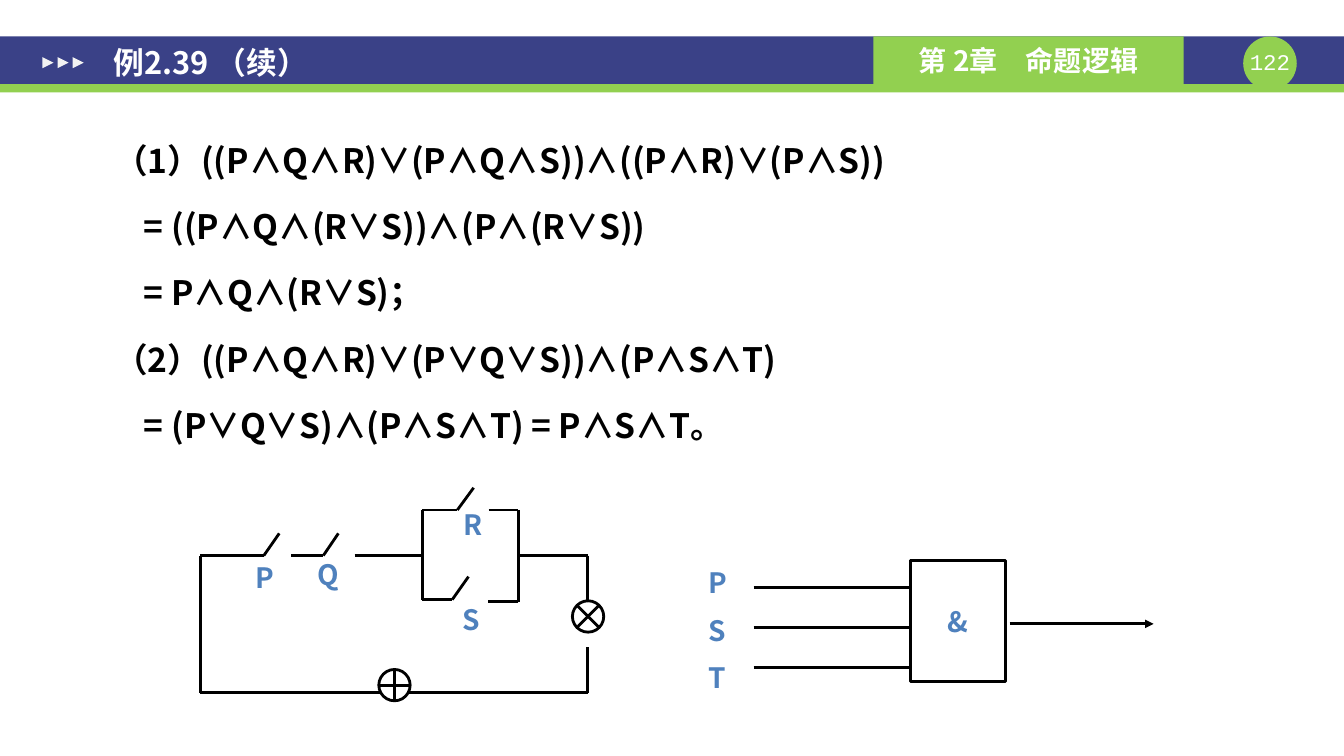
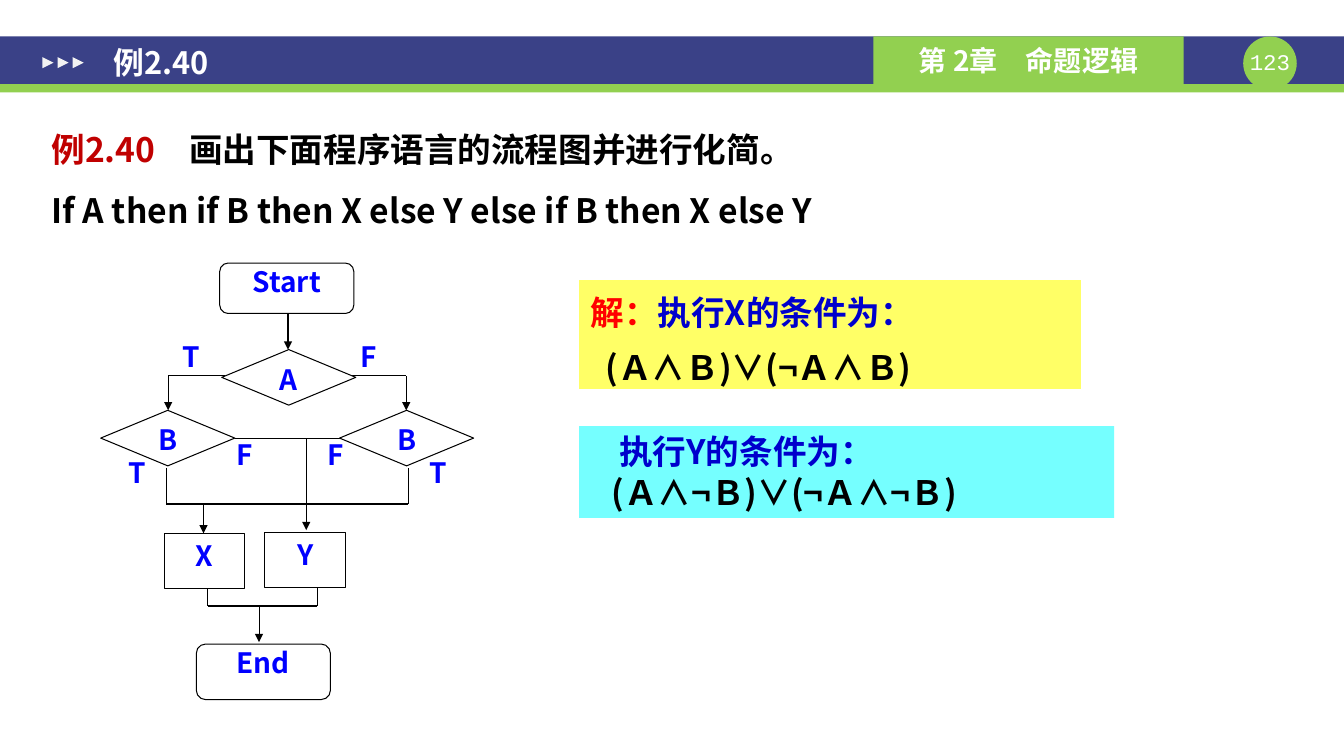
from lxml import etree
from pptx import Presentation
from pptx.dml.color import RGBColor
from pptx.enum.shapes import MSO_CONNECTOR, MSO_SHAPE
from pptx.enum.text import MSO_ANCHOR, MSO_AUTO_SIZE, PP_ALIGN
from pptx.oxml.ns import qn
from pptx.util import Cm, Pt

RECT, OVAL, TRIANGLE = MSO_SHAPE.RECTANGLE, MSO_SHAPE.OVAL, MSO_SHAPE.ISOSCELES_TRIANGLE
LAMP, SOURCE = MSO_SHAPE.FLOWCHART_SUMMING_JUNCTION, MSO_SHAPE.FLOWCHART_OR
TERMINAL, DECISION = MSO_SHAPE.FLOWCHART_ALTERNATE_PROCESS, MSO_SHAPE.FLOWCHART_DECISION
PROCESS = MSO_SHAPE.FLOWCHART_PROCESS
STRAIGHT = MSO_CONNECTOR.STRAIGHT
LEFT, CENTER = PP_ALIGN.LEFT, PP_ALIGN.CENTER
TOP, MIDDLE = MSO_ANCHOR.TOP, MSO_ANCHOR.MIDDLE

NAVY = RGBColor(0x3A, 0x41, 0x87)
GREEN = RGBColor(0x92, 0xD0, 0x50)
PALE = RGBColor(0xF2, 0xF2, 0xF2)
WHITE = RGBColor(0xFF, 0xFF, 0xFF)
BLACK = RGBColor(0x00, 0x00, 0x00)
STEEL = RGBColor(0x4F, 0x81, 0xBD)
BLUE = RGBColor(0x00, 0x00, 0xFF)
DEEP_BLUE = RGBColor(0x00, 0x00, 0xCC)
DARK_RED = RGBColor(0xC0, 0x00, 0x00)
RED = RGBColor(0xFF, 0x00, 0x00)
YELLOW = RGBColor(0xFF, 0xFF, 0x66)
CYAN = RGBColor(0x66, 0xFF, 0xFF)

FONT, NUMBER_FONT = "Noto Sans CJK SC", "Courier New"
WIDTH, HEIGHT = 33.88, 19.05
BAND_TOP, BAND_HEIGHT = 0.92, 1.2
BODY_INSETS = (0.33, 0.18)


def write(tf, paras, size=20, align=CENTER, anchor=TOP, insets=(0.25, 0.13),
          spacing=None, before=0, font=FONT, bold=True):
    """Fill a frame; each paragraph is (indent in cm, [(text, colour), ...])."""
    tf.word_wrap = True
    tf.auto_size = MSO_AUTO_SIZE.NONE
    tf.vertical_anchor = anchor
    tf.margin_left = tf.margin_right = Cm(insets[0])
    tf.margin_top = tf.margin_bottom = Cm(insets[1])
    for i, (indent, runs) in enumerate(paras):
        p = tf.add_paragraph() if i else tf.paragraphs[0]
        p.alignment = align
        if indent:
            pPr = p._p.get_or_add_pPr()
            pPr.set("marL", str(Cm(indent)))
            pPr.set("indent", "0")
        if spacing:
            p.line_spacing = spacing
        if i and before:
            p.space_before = Pt(before)
        for text, color in runs:
            r = p.add_run()
            r.text = text
            r.font.name, r.font.size, r.font.bold = font, Pt(size), bold
            r.font.color.rgb = color
            ea = etree.SubElement(r.font._element, qn("a:ea"))
            ea.set("typeface", font)


def add_text(slide, x, y, w, h, paras, **style):
    box = slide.shapes.add_textbox(Cm(x), Cm(y), Cm(w), Cm(h))
    write(box.text_frame, paras, **style)


def add_label(slide, x, y, w, text, color, align=CENTER):
    add_text(slide, x, y, w, 1.4, [(0, [(text, color)])], align=align)


def add_box(slide, kind, x, y, w, h, fill=WHITE, line=None):
    """Add a preset shape; line is an outline width in points."""
    sp = slide.shapes.add_shape(kind, Cm(x), Cm(y), Cm(w), Cm(h))
    sp.shadow.inherit = False
    sp.fill.solid()
    sp.fill.fore_color.rgb = fill
    if line:
        sp.line.color.rgb = BLACK
        sp.line.width = Pt(line)
    else:
        sp.line.fill.background()
    return sp


def add_wire(slide, points, width, arrow=False):
    """Join the points with straight lines, the last one with an arrowhead if asked."""
    for start, end in zip(points, points[1:]):
        line = slide.shapes.add_connector(STRAIGHT, *(Cm(v) for v in start + end))
        line.line.color.rgb = BLACK
        line.line.width = Pt(width)
        etree.SubElement(line._element.spPr, qn("a:effectLst"))
    if arrow:
        etree.SubElement(line.line._get_or_add_ln(), qn("a:tailEnd")).set("type", "triangle")


def start_slide(prs, title, number):
    """Add a title-only slide with the header band, chapter and number."""
    slide = prs.slides.add_slide(prs.slide_layouts[5])
    add_box(slide, RECT, 0, BAND_TOP, WIDTH, BAND_HEIGHT, NAVY)
    add_box(slide, RECT, 0, BAND_TOP + BAND_HEIGHT, WIDTH, 0.21, GREEN)
    add_box(slide, OVAL, 31.34, BAND_TOP, 1.35, 1.35, GREEN)
    add_text(slide, 31.34, 1.22, 1.35, 0.69, [(0, [(str(number), WHITE)])],
             size=16, insets=(0, 0), font=NUMBER_FONT, bold=False)
    chapter = add_box(slide, RECT, 22.02, BAND_TOP, 7.82, BAND_HEIGHT, GREEN)
    write(chapter.text_frame, [(0, [("第 2章　命题逻辑", WHITE)])], anchor=MIDDLE)
    for i in range(3):
        add_box(slide, TRIANGLE, 1.07 + 0.38 * i, 1.44, 0.28, 0.28, PALE).rotation = 90

    sp = slide.shapes.title
    sp.left, sp.top, sp.width, sp.height = Cm(2.54), Cm(0.28), Cm(22.4), Cm(2.57)
    write(sp.text_frame, [(0, [(title, WHITE)])], size=22, align=LEFT,
          anchor=MIDDLE, insets=BODY_INSETS)
    sp.element.getparent().append(sp.element)  # in front of the band
    return slide


def draw_circuit(slide):
    for text, x, y in (("S", 11.4, 15.04), ("R", 11.43, 12.65),
                       ("Q", 7.75, 13.92), ("P", 6.2, 14)):
        add_label(slide, x, y, 0.79, text, STEEL, LEFT)
    wires = (
        [(7.04, 13.44), (6.65, 14), (5.05, 14), (5.05, 17.45), (9.6, 17.45)],
        [(7.34, 14), (8.15, 14), (8.53, 13.44)],
        [(8.94, 14), (10.65, 14)],
        [(11.94, 12.29), (11.53, 12.85), (10.65, 12.85), (10.65, 15.11),
         (11.4, 15.11), (11.81, 14.53)],
        [(12.32, 12.85), (13.07, 12.85), (13.07, 15.16), (12.29, 15.16)],
        [(13.07, 14), (14.82, 14), (14.82, 15.14)],
        [(14.82, 16.31), (14.82, 17.45), (10.13, 17.45)],
    )
    for points in wires:
        add_wire(slide, points, 2)
    add_box(slide, LAMP, 14.43, 15.14, 0.79, 0.79, line=2)
    add_box(slide, SOURCE, 9.55, 16.87, 0.79, 0.79, line=2)


def draw_gate(slide):
    gate = add_box(slide, RECT, 22.96, 14.12, 2.39, 3.05, line=2)
    write(gate.text_frame, [(0, [("&", STEEL)])], anchor=MIDDLE)
    for i, text in enumerate("PST"):
        add_label(slide, 17.6, 14.12 + 1.2 * i, 1.6, text, STEEL, LEFT)
        add_wire(slide, [(19, 14.81 + i), (22.96, 14.81 + i)], 2)
    add_wire(slide, [(25.45, 15.72), (29.08, 15.72)], 2, arrow=True)


def draw_flowchart(slide):
    for text, x, y in (("T", 4.14, 8.43), ("F", 8.63, 8.43), ("F", 5.49, 10.9),
                       ("T", 2.79, 11.35), ("F", 7.8, 10.9), ("T", 10.37, 11.35)):
        add_label(slide, x, y, 1.35, text, BLUE)
    wires = (
        ([(7.26, 7.9), (7.26, 8.81)], True),
        ([(5.66, 9.47), (4.24, 9.47), (4.24, 10.34)], True),
        ([(8.86, 9.47), (10.24, 9.47), (10.24, 10.34)], True),
        ([(5.92, 11.05), (8.64, 11.05)], False),
        ([(7.72, 11.05), (7.72, 13.36)], True),
        ([(4.19, 11.79), (4.19, 12.7), (10.29, 12.7), (10.29, 11.79)], False),
        ([(5.13, 12.7), (5.13, 13.44)], True),
        ([(5.24, 14.8), (5.24, 15.27), (8, 15.27), (8, 14.8)], False),
        ([(6.53, 15.27), (6.53, 16.18)], True),
    )
    for points, arrow in wires:
        add_wire(slide, points, 0.75, arrow)
    nodes = (
        (TERMINAL, "Start", 5.54, 6.63, 3.38, 1.27, 0.8),
        (DECISION, "A", 5.59, 8.81, 3.38, 1.4, 0.8),
        (DECISION, "B", 2.54, 10.34, 3.38, 1.4, 0.8),
        (DECISION, "B", 8.56, 10.34, 3.38, 1.4, 0.8),
        (PROCESS, "X", 4.14, 13.44, 2.03, 1.4, None),
        (PROCESS, "Y", 6.68, 13.41, 2.03, 1.4, None),
        (TERMINAL, "End", 4.95, 16.23, 3.38, 1.4, 0.8),
    )
    for kind, text, x, y, w, h, spacing in nodes:
        node = add_box(slide, kind, x, y, w, h, line=0.75)
        write(node.text_frame, [(0, [(text, BLUE)])], spacing=spacing)


def add_simplification_slide(prs):
    slide = start_slide(prs, "例2.39 （续）", 122)
    steps = (
        (0.19, "（1）((P∧Q∧R)∨(P∧Q∧S))∧((P∧R)∨(P∧S))"),
        (0.94, "= ((P∧Q∧(R∨S))∧(P∧(R∨S))"),
        (0.94, "= P∧Q∧(R∨S)；"),
        (0.19, "（2）((P∧Q∧R)∨(P∨Q∨S))∧(P∧S∧T)"),
        (0.94, "= (P∨Q∨S)∧(P∧S∧T) = P∧S∧T。"),
    )
    add_text(slide, 2.36, 2.74, 28.24, 9.09,
             [(indent, [(text, BLACK)]) for indent, text in steps],
             size=24, align=LEFT, insets=BODY_INSETS, spacing=1.6, before=1.2)
    draw_circuit(slide)
    draw_gate(slide)


def add_flowchart_slide(prs):
    slide = start_slide(prs, "例2.40", 123)
    question = [
        (0, [("例2.40　", DARK_RED), ("画出下面程序语言的流程图并进行化简。", BLACK)]),
        (0, [("If A then if B then X else Y else if B then X else Y", BLACK)]),
    ]
    add_text(slide, 0.97, 2.57, 23.01, 3.35, question, size=24, align=LEFT,
             insets=BODY_INSETS, spacing=1.5)
    draw_flowchart(slide)

    x_answer = add_box(slide, RECT, 14.6, 7.06, 12.65, 2.74, YELLOW)
    write(x_answer.text_frame, [
        (0.19, [("解：", RED), ("执行X的条件为：", DEEP_BLUE)]),
        (0.57, [("(Ａ∧Ｂ)∨(¬Ａ∧Ｂ)", BLACK)]),
    ], size=24, align=LEFT, insets=(0.1, 0.1), spacing=1.2, before=4.8)

    y_answer = add_box(slide, RECT, 14.6, 10.74, 13.49, 2.31, CYAN)
    color = y_answer.element.spPr.find(qn("a:solidFill"))[0]
    etree.SubElement(color, qn("a:alpha")).set("val", "90000")
    write(y_answer.text_frame, [
        (0.76, [("执行Y的条件为：", DEEP_BLUE)]),
        (0.57, [("(Ａ∧¬Ｂ)∨(¬Ａ∧¬Ｂ)", BLACK)]),
    ], size=24, align=LEFT)


def main():
    prs = Presentation()
    prs.slide_width, prs.slide_height = Cm(WIDTH), Cm(HEIGHT)
    add_simplification_slide(prs)
    add_flowchart_slide(prs)
    prs.save("out.pptx")


if __name__ == "__main__":
    main()
